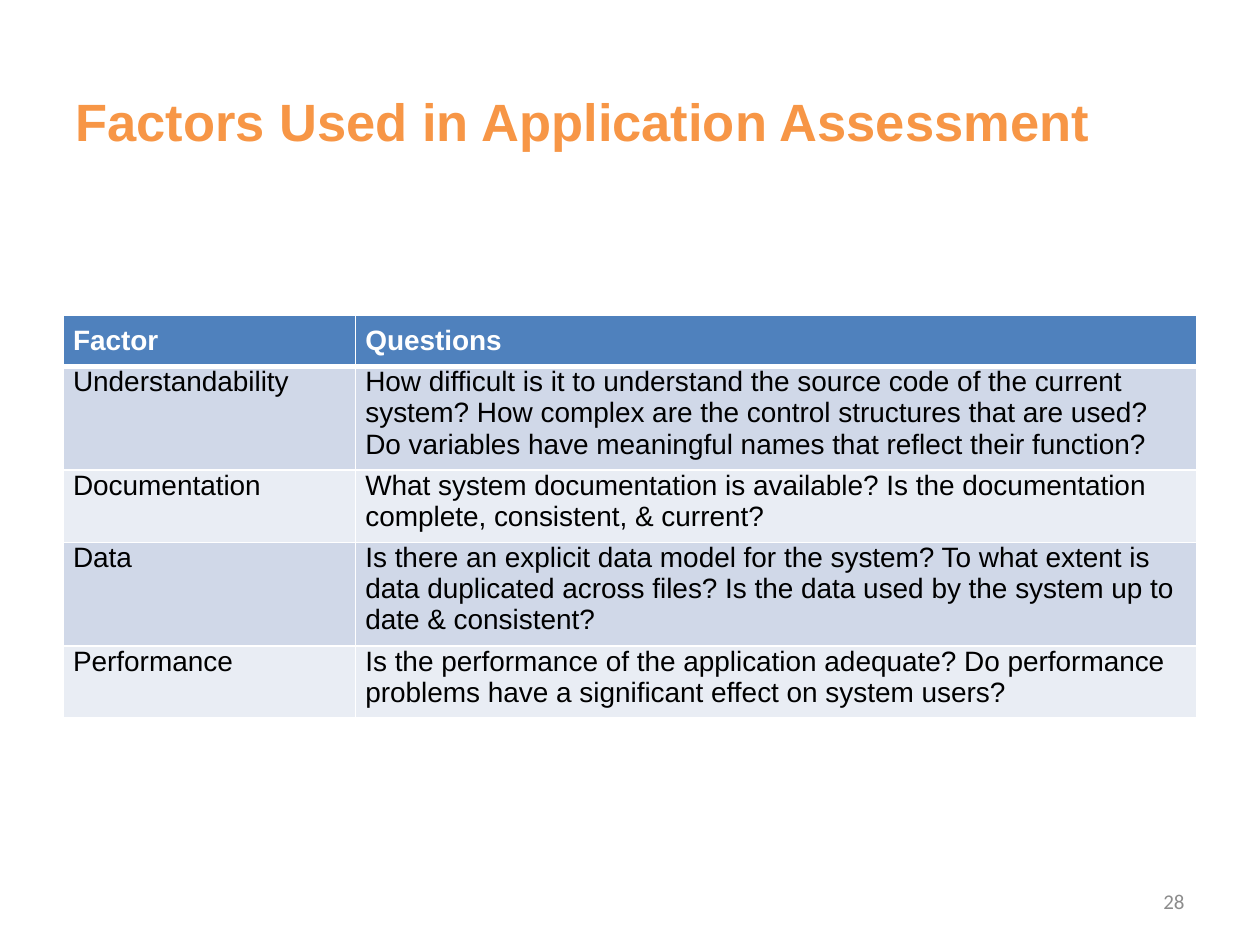
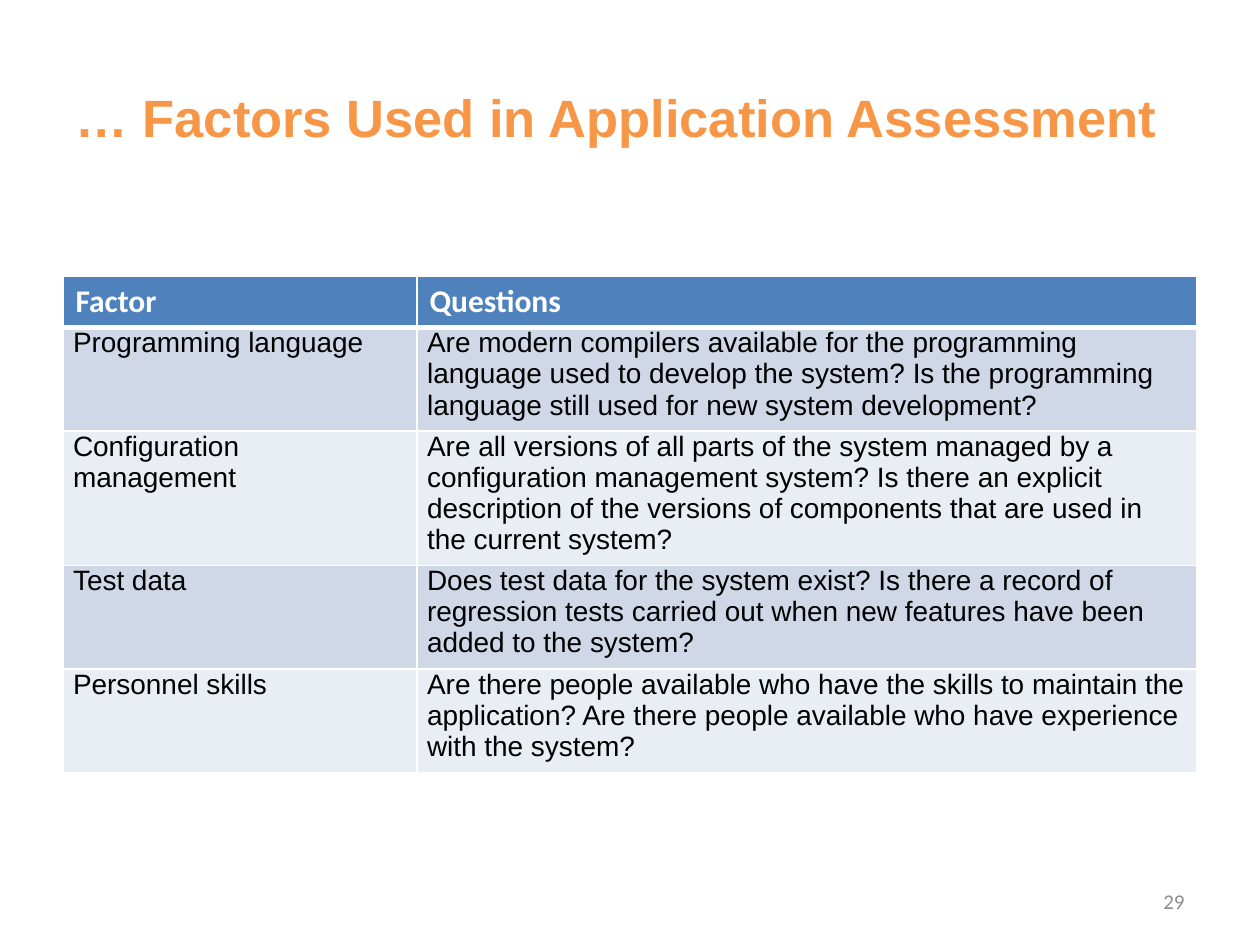
from dataclasses import dataclass
from lxml.etree import SubElement
from pptx import Presentation
from pptx.dml.color import RGBColor
from pptx.enum.text import MSO_ANCHOR as Anchor, MSO_AUTO_SIZE as AutoSize, PP_ALIGN as Align
from pptx.oxml.ns import qn
from pptx.util import Inches, Pt


@dataclass(frozen=True)
class TextStyle:
    font: str
    size: int
    color: str
    bold: bool = False


@dataclass(frozen=True)
class Theme:
    title: TextStyle = TextStyle("Arial", 30, "F79646", True)
    body: TextStyle = TextStyle("Arial", 16, "000000")
    number: TextStyle = TextStyle("Calibri", 12, "8C8C8C")
    header_fill: str = "4F81BD"
    bands: tuple = ("D0D8E8", "E9EDF4")
    rule: str = "FFFFFF"
    thin: int = 1
    thick: int = 3


@dataclass(frozen=True)
class HeaderStyle:
    text: TextStyle
    insets: tuple
    space_after: int


@dataclass(frozen=True)
class Box:
    left: float
    top: float
    width: float
    height: float

    def emu(self):
        return [Inches(v) for v in (self.left, self.top, self.width, self.height)]


THEME = Theme()
WIDTH, HEIGHT = 10, 7.5
MARGIN = WIDTH / 20
CONTENT = WIDTH - 2 * MARGIN
ROW = 0.41
BODY_INSETS = (0.08, 0, 0.08, 0.08)
PARAGRAPH_GAP = 6
COMPACT_HEADER = HeaderStyle(TextStyle("Arial", 16, "FFFFFF", True), (0.08,) * 4, PARAGRAPH_GAP)
LARGE_HEADER = HeaderStyle(TextStyle("Calibri", 18, "FFFFFF", True), (0.1, 0.05, 0.1, 0.05), 0)
HEADINGS = ("Factor", "Questions")

SLIDES = [
    dict(
        number=28,
        title="Factors Used in Application Assessment",
        title_top=0.33,
        table_box=Box(MARGIN, 2.5, CONTENT, 3.41),
        factor_width=2.32,
        header=COMPACT_HEADER,
        factors=[
            ("Understandability",
             "How difficult is it to understand the source code of the current system? "
             "How complex are the control structures that are used? "
             "Do variables have meaningful names that reflect their function?"),
            ("Documentation",
             "What system documentation is available? "
             "Is the documentation complete, consistent, & current?"),
            ("Data",
             "Is there an explicit data model for the system? "
             "To what extent is data duplicated across files? "
             "Is the data used by the system up to date & consistent?"),
            ("Performance",
             "Is the performance of the application adequate? "
             "Do performance problems have a significant effect on system users?"),
        ],
    ),
    dict(
        number=29,
        title="… Factors Used in Application Assessment",
        title_top=0.3,
        table_box=Box(MARGIN, 2.19, CONTENT, 4.19),
        factor_width=2.81,
        header=LARGE_HEADER,
        factors=[
            ("Programming language",
             "Are modern compilers available for the programming language used to develop the system? "
             "Is the programming language still used for new system development?"),
            ("Configuration management",
             "Are all versions of all parts of the system managed by a configuration management system? "
             "Is there an explicit description of the versions of components "
             "that are used in the current system?"),
            ("Test data",
             "Does test data for the system exist? Is there a record of regression tests "
             "carried out when new features have been added to the system?"),
            ("Personnel skills",
             "Are there people available who have the skills to maintain the application? "
             "Are there people available who have experience with the system?"),
        ],
    ),
]


def write(frame, text, style, align=Align.LEFT, space_after=0):
    paragraph = frame.paragraphs[0]
    paragraph.alignment = align
    paragraph.space_after = Pt(space_after)
    run = paragraph.add_run()
    run.text = text
    run.font.name = style.font
    run.font.size = Pt(style.size)
    run.font.bold = style.bold
    run.font.color.rgb = RGBColor.from_string(style.color)


def rule_cell(cell, top, bottom):
    properties = cell._tc.get_or_add_tcPr()
    sides = {"L": THEME.thin, "R": THEME.thin, "T": top, "B": bottom}
    for side, width in sides.items():
        line = SubElement(properties, qn(f"a:ln{side}"), w=str(Pt(width)))
        fill = SubElement(line, qn("a:solidFill"))
        SubElement(fill, qn("a:srgbClr"), val=THEME.rule)


def fill_cell(cell, text, style, insets, space_after, color):
    (cell.margin_left, cell.margin_top,
     cell.margin_right, cell.margin_bottom) = map(Inches, insets)
    cell.fill.solid()
    cell.fill.fore_color.rgb = RGBColor.from_string(color)
    write(cell.text_frame, text, style, space_after=space_after)


def place_title(slide, box, text):
    title = slide.shapes.title
    title.left, title.top, title.width, title.height = box.emu()
    frame = title.text_frame
    frame.auto_size = AutoSize.NONE
    frame.vertical_anchor = Anchor.MIDDLE
    write(frame, text, THEME.title)


def place_factors(slide, box, factors, factor_width, header):
    rows = [HEADINGS, *factors]
    holder = slide.shapes.add_table(len(rows), len(HEADINGS), *box.emu())
    table = holder.table
    for column, width in zip(table.columns, (factor_width, box.width - factor_width)):
        column.width = Inches(width)
    for r, texts in enumerate(rows):
        table.rows[r].height = Inches(ROW)
        top = THEME.thick if r == 1 else THEME.thin
        bottom = THEME.thick if r == 0 else THEME.thin
        for c, text in enumerate(texts):
            cell = table.cell(r, c)
            rule_cell(cell, top, bottom)
            if r == 0:
                fill_cell(cell, text, header.text, header.insets,
                          header.space_after, THEME.header_fill)
            else:
                fill_cell(cell, text, THEME.body, BODY_INSETS,
                          PARAGRAPH_GAP, THEME.bands[(r - 1) % 2])
    holder.height = Inches(box.height)


def place_number(slide, box, number):
    frame = slide.shapes.add_textbox(*box.emu()).text_frame
    frame.word_wrap = True
    frame.vertical_anchor = Anchor.MIDDLE
    write(frame, str(number), THEME.number, Align.RIGHT)


def build_assessment(deck, number, title, title_top, table_box, factor_width, header, factors):
    slide = deck.slides.add_slide(deck.slide_layouts[5])
    place_title(slide, Box(MARGIN, title_top, CONTENT, HEIGHT / 6), title)
    place_factors(slide, table_box, factors, factor_width, header)
    place_number(slide, Box(7.17, 6.95, 2.33, 0.4), number)


def main():
    deck = Presentation()
    deck.slide_width, deck.slide_height = Inches(WIDTH), Inches(HEIGHT)
    for content in SLIDES:
        build_assessment(deck, **content)
    deck.save("out.pptx")


if __name__ == "__main__":
    main()
